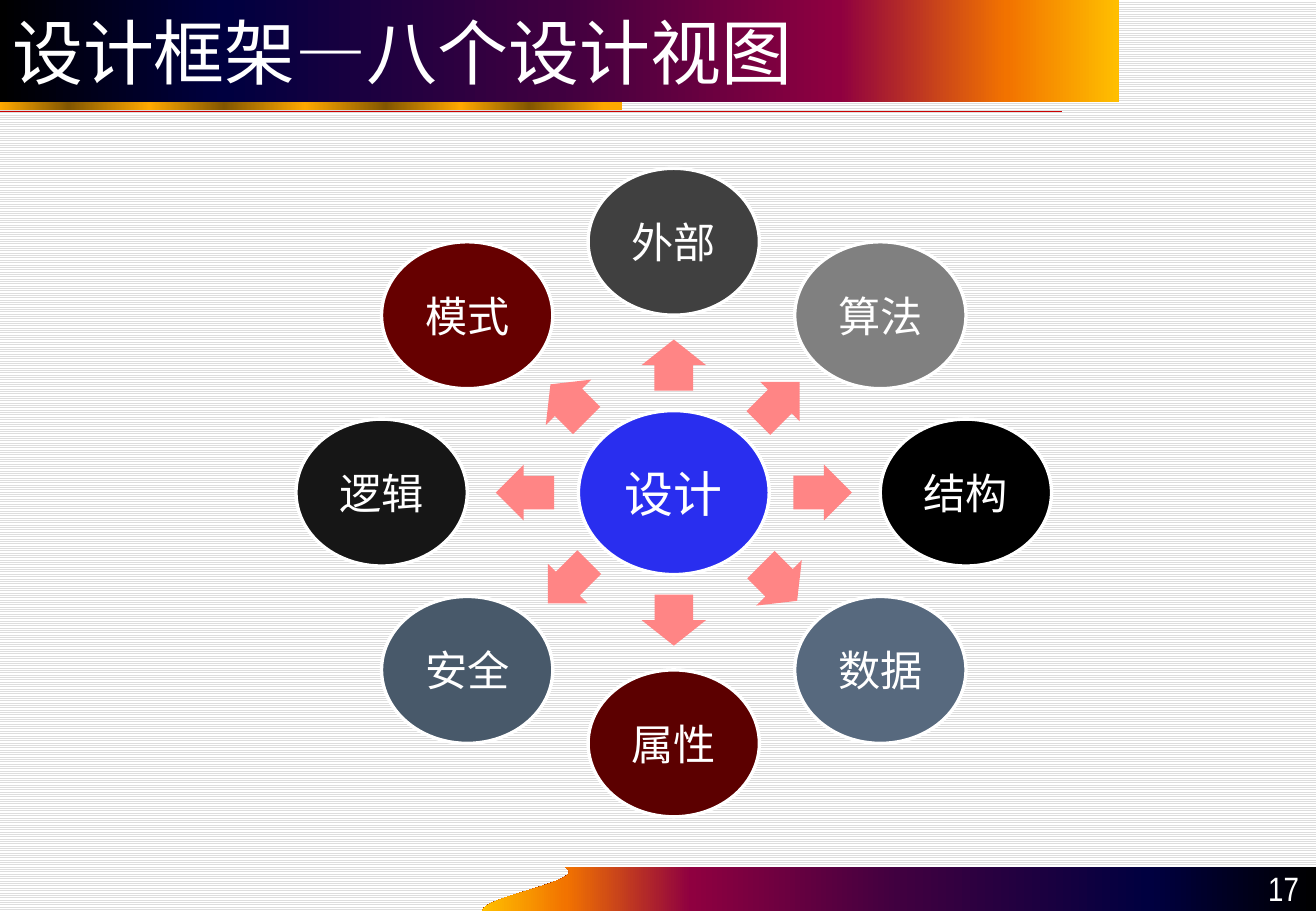
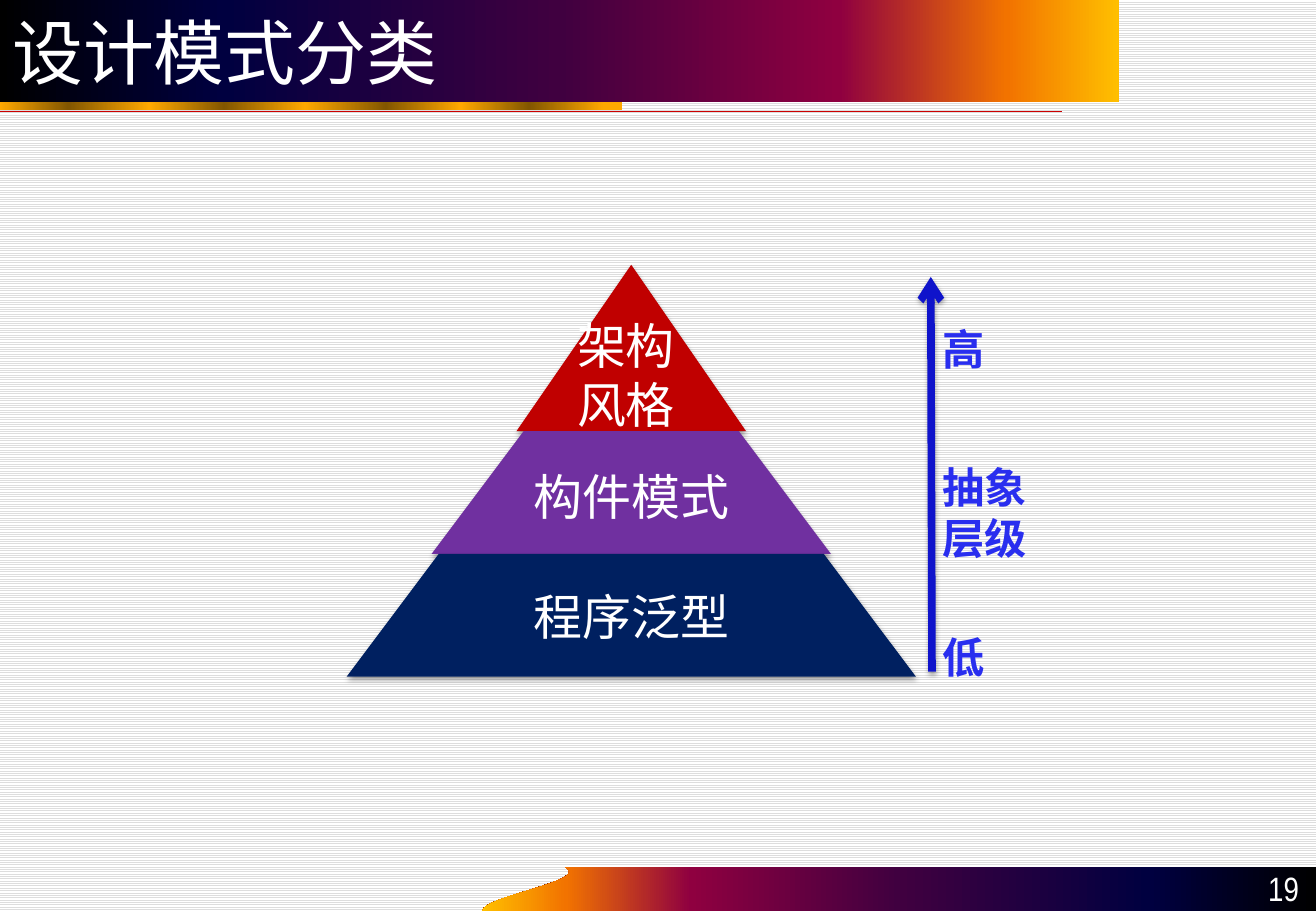
import math
import pptx
import pptx.util
import pptx.dml.color
import pptx.enum.dml
import pptx.enum.shapes
import pptx.enum.text
import pptx.oxml
import pptx.oxml.ns

Pt = pptx.util.Pt
qn = pptx.oxml.ns.qn
SHAPE = pptx.enum.shapes.MSO_SHAPE
ALIGN = pptx.enum.text.PP_ALIGN
ANCHOR = pptx.enum.text.MSO_ANCHOR

# Grid: 100 columns by 100 rows
W, H = pptx.util.Inches(10.83), pptx.util.Inches(7.5)
CJK = "Noto Sans CJK SC"
WHITE, BLUE = "FFFFFF", "292EEF"
BAND = [(0, "000000"), (20, "000040"), (50, "400040"),
        (75, "8F0040"), (90, "F27300"), (100, "FFBF00")]
GOLD = [(pos, "825600" if i % 2 else "FFA800")
        for i, pos in enumerate((0, 11, 24, 36, 49, 62, 74, 85, 97))]

# Text styles
TITLE = {"name": "DejaVu Sans", "size": Pt(42), "bold": False}
NUMBER = {"name": "Arial Narrow", "size": Pt(20)}
LARGE = {"name": CJK, "size": Pt(29)}
SMALL = {"name": CJK, "size": Pt(25)}
LABEL = {**SMALL, "bold": True}


def col(n):
    return round(W * n / 100)


def row(n):
    return round(H * n / 100)


def box(x, y, w, h):
    return col(x), row(y), col(w), row(h)


def rgb(value):
    return pptx.dml.color.RGBColor.from_string(value)


def sub(parent, tag, **attrs):
    el = pptx.oxml.parse_xml(f"<{tag} {pptx.oxml.ns.nsdecls('a')}/>")
    for key, value in attrs.items():
        el.set(key, str(value))
    parent.append(el)
    return el


def set_shadow(sp, cast=False):
    """Drop the theme shadow and, if asked, cast a soft one downwards."""
    effects = sub(sp._element.spPr, "a:effectLst")
    if cast:
        outer = sub(effects, "a:outerShdw", blurRad=Pt(3.1), dist=Pt(1.8),
                    dir=5400000, rotWithShape=0)
        sub(sub(outer, "a:srgbClr", val="000000"), "a:alpha", val=35000)


def set_gradient(sp, stops, angle=0):
    sp.fill.gradient()
    sp.fill.gradient_angle = angle
    gs_list = sp._element.spPr.find(qn("a:gradFill")).find(qn("a:gsLst"))
    for gs in list(gs_list):
        gs_list.remove(gs)
    for pos, color in stops:
        sub(sub(gs_list, "a:gs", pos=pos * 1000), "a:srgbClr", val=color)


def set_text(sp, text, style, color=WHITE, align=ALIGN.CENTER,
             anchor=ANCHOR.MIDDLE, wrap=True, **margins):
    tf = sp.text_frame
    frame = {"text": text, "word_wrap": wrap, "vertical_anchor": anchor,
             "auto_size": pptx.enum.text.MSO_AUTO_SIZE.NONE, **margins}
    for key, value in frame.items():
        setattr(tf, key, value)
    for p in tf.paragraphs:
        p.alignment = align
        for r in p.runs:
            for key, value in style.items():
                setattr(r.font, key, value)
            r.font.color.rgb = rgb(color)
            sub(r._r.get_or_add_rPr(), "a:ea", typeface=CJK)


def add_shape(s, kind, place, fill=None, line=None, cast=False):
    sp = s.shapes.add_shape(kind, *box(*place))
    if fill:
        sp.fill.solid()
        sp.fill.fore_color.rgb = rgb(fill)
    if line:
        sp.line.color.rgb = rgb(line)
        sp.line.width = Pt(2)
    else:
        sp.line.fill.background()
    set_shadow(sp, cast)
    return sp


def add_text(s, place, text, style, **options):
    set_text(s.shapes.add_textbox(*box(*place)), text, style, **options)


def add_line(s, start, end, color, width, arrow=False):
    cx = s.shapes.add_connector(pptx.enum.shapes.MSO_CONNECTOR.STRAIGHT,
                                col(start[0]), row(start[1]),
                                col(end[0]), row(end[1]))
    cx.line.color.rgb = rgb(color)
    cx.line.width = Pt(width)
    if arrow:
        sub(cx.line._get_or_add_ln(), "a:tailEnd", type="arrow")
    set_shadow(cx, arrow)


def add_footer(s, number):
    # Band whose left end is a cubic curve
    curve = [(36.66, 100), (36.66, 98.4), (44.97, 96.67), (42.94, 95.2)]
    points = []
    for t in (i / 16 for i in range(17)):
        weights = [math.comb(3, k) * t**k * (1 - t)**(3 - k) for k in range(4)]
        points.append(tuple(sum(w * c[axis] for w, c in zip(weights, curve))
                            for axis in (0, 1)))
    points += [(100, 95.2), (100, 100)]
    points = [(col(x), row(y)) for x, y in points]
    fb = s.shapes.build_freeform(*points[0])
    fb.add_line_segments(points[1:], close=True)
    sp = fb.convert_to_shape()
    set_gradient(sp, BAND, 180)
    sp.line.fill.background()
    set_shadow(sp)
    add_text(s, (90.76, 95.07, 8.86, 5.33), number, NUMBER,
             align=ALIGN.RIGHT, anchor=ANCHOR.BOTTOM)


def new_slide(prs, title, number):
    s = prs.slides.add_slide(prs.slide_layouts[5])
    # Striped background
    fill = s.background.fill
    fill.patterned()
    fill.pattern = pptx.enum.dml.MSO_PATTERN.LIGHT_HORIZONTAL
    fill.fore_color.rgb = rgb("DDDDDD")
    fill.back_color.rgb = rgb(WHITE)
    # Title band with gold strip and red rule
    sp = s.shapes.title
    sp.left, sp.top, sp.width, sp.height = box(0, 0, 85, 11.2)
    set_gradient(sp, BAND)
    set_text(sp, title, TITLE, align=ALIGN.LEFT)
    set_gradient(add_shape(s, SHAPE.RECTANGLE, (0, 11.2, 47.3, 0.9)), GOLD)
    add_line(s, (0, 12.2), (80.7, 12.2), "CC0000", 0.75)
    add_footer(s, number)
    return s


def add_views(s):
    cx, cy = 51.2, 54.07

    def centred(x, y, w, h):
        return x - w / 2, y - h / 2, w, h

    def add_circle(x, y, w, h, text, fill, style):
        sp = add_shape(s, SHAPE.OVAL, centred(x, y, w, h), fill, WHITE)
        margin = pptx.util.Inches(0.03)
        set_text(sp, text, style, margin_left=margin, margin_right=margin,
                 margin_top=margin, margin_bottom=margin)

    add_circle(cx, cy, 14.5, 18, "设计", BLUE, LARGE)
    views = [("外部", "404040"), ("算法", "808080"), ("结构", "000000"),
             ("数据", "57697E"), ("属性", "5C0000"), ("安全", "48596A"),
             ("逻辑", "161616"), ("模式", "660000")]
    for i, (text, fill) in enumerate(views):
        angle = 270 + i * 360 / len(views)
        dx, dy = math.cos(math.radians(angle)), math.sin(math.radians(angle))
        size = (3.88, 7.07) if i % 4 in (0, 3) else (4.43, 6.13)
        arrow = add_shape(s, SHAPE.RIGHT_ARROW,
                          centred(cx + 11.31 * dx, cy + 14 * dy, *size), "FF8585")
        arrow.rotation = angle % 360
        arrow.adjustments[0], arrow.adjustments[1] = 0.6, 0.5
        add_circle(cx + 22.2 * dx, cy + 27.53 * dy, 13.02, 16.13,
                   text, fill, SMALL)


def add_pyramid(s):
    # Tiers, widening downwards by a fixed step
    y = 29.07
    tiers = [("", "C00000", 18.27), ("构件模式", "7030A0", 13.47),
             ("程序泛型", "002060", 13.47)]
    for i, (text, fill, h) in enumerate(tiers):
        w = 17.45 + 12.9 * i
        sp = add_shape(s, SHAPE.TRAPEZOID, (47.97 - w / 2, y, w, h), fill, cast=True)
        sp.adjustments[0] = 0.75
        if text:
            set_text(sp, text, LARGE, margin_top=0,
                     margin_bottom=pptx.util.Inches(0.1))
        y += h
    free = {"align": ALIGN.LEFT, "anchor": ANCHOR.TOP, "wrap": False}
    add_text(s, (42.94, 34, 9.42, 14.4), "架构\v风格", LARGE, **free)

    # Abstraction scale
    add_line(s, (70.82, 73.73), (70.73, 30.4), "0F13CB", 4.5, arrow=True)
    for text, top, w, h in (("高", 34.8, 5.08, 6.93), ("低", 68.67, 5.08, 6.93),
                            ("抽象\n层级", 50, 8.4, 12.53)):
        add_text(s, (70.73, top, w, h), text, LABEL, color=BLUE, **free)


def main():
    prs = pptx.Presentation()
    prs.slide_width, prs.slide_height = W, H
    add_views(new_slide(prs, "设计框架—八个设计视图", "17"))
    add_pyramid(new_slide(prs, "设计模式分类", "19"))
    prs.save("out.pptx")


if __name__ == "__main__":
    main()
